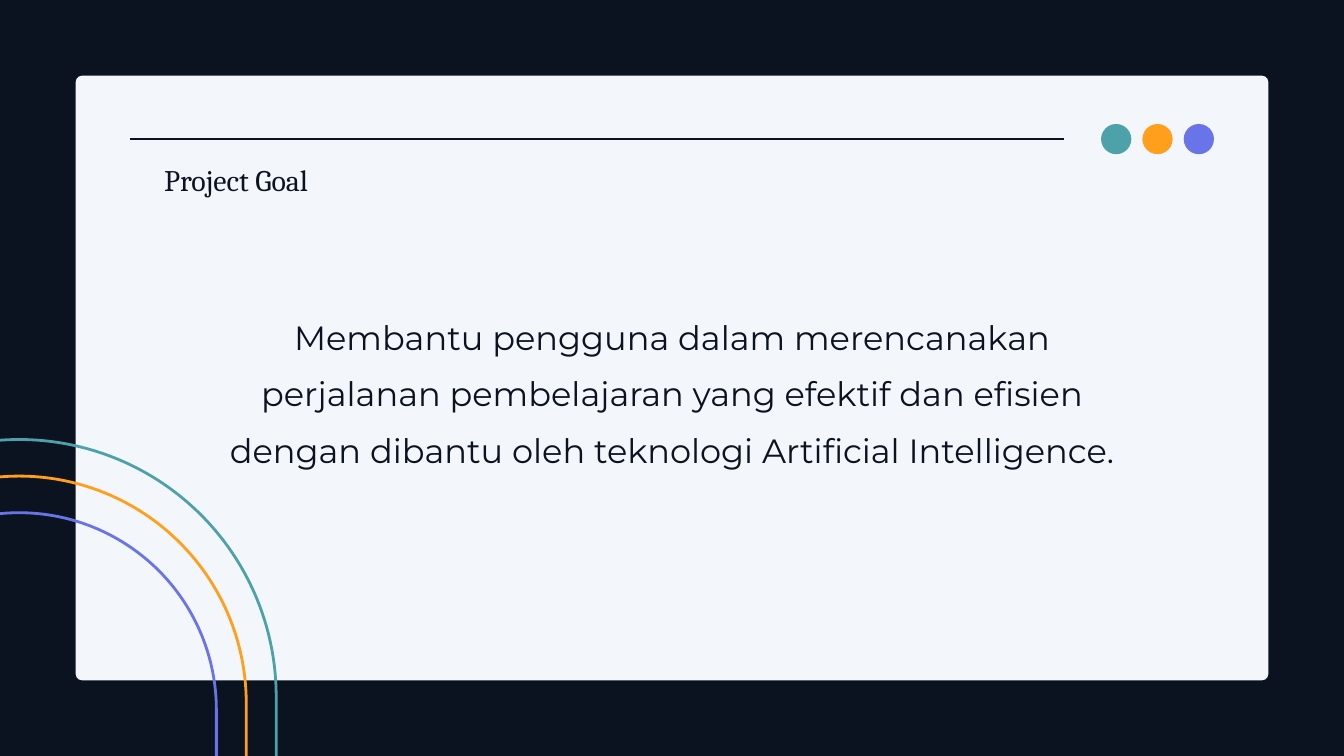
from lxml import etree
from pptx import Presentation
from pptx import util as u
from pptx.dml.color import RGBColor
from pptx.enum import shapes, text
from pptx.oxml.ns import qn

COLORS = {
    "ink": "0B1320",
    "card": "F3F6FA",
    "teal": "4DA1A9",
    "orange": "FF9F1C",
    "violet": "6874E8",
}
ACCENTS = ("teal", "orange", "violet")
KIND = shapes.MSO_SHAPE


def color(name):
    return RGBColor.from_string(COLORS[name])


def add_shape(slide, kind, box, fill=None, line=None):
    shape = slide.shapes.add_shape(kind, *map(u.Inches, box))
    shape.shadow.inherit = False
    if fill:
        shape.fill.solid()
        shape.fill.fore_color.rgb = color(fill)
    else:
        shape.fill.background()
    if line:
        shape.line.color.rgb = color(line)
        shape.line.width = u.Pt(3)
    else:
        shape.line.fill.background()
    return shape


def add_label(slide, box, words, font, size, spacing):
    frame = slide.shapes.add_textbox(*map(u.Inches, box)).text_frame
    frame.word_wrap = True
    frame.margin_left = frame.margin_right = 0
    frame.margin_top = frame.margin_bottom = 0
    frame.text = words
    para = frame.paragraphs[0]
    para.alignment = text.PP_ALIGN.CENTER
    para.line_spacing = spacing
    run = para.runs[0]
    run.font.name = font
    run.font.size = u.Pt(size)
    run.font.color.rgb = color("ink")


def add_header(slide, box):
    """Rule, three dots and the title below the rule."""
    left, top, width, height = box
    dot, step = 0.45, 0.615
    mid = top + dot / 2
    first = left + width - dot - 2 * step
    rule = slide.shapes.add_connector(
        shapes.MSO_CONNECTOR.STRAIGHT,
        *map(u.Inches, (left, mid, first - 0.55, mid)))
    rule.line.color.rgb = color("ink")
    rule.line.width = u.Pt(3)
    etree.SubElement(rule._element.spPr, qn("a:effectLst"))
    for i, accent in enumerate(ACCENTS):
        add_shape(slide, KIND.OVAL, (first + i * step, top, dot, dot), accent)
    add_label(slide, (left, top + dot, 3.16, height - dot),
              "Project Goal", "Cambria", 32, 1.2)


def add_card(slide, box):
    left, top, width, height = box
    card = add_shape(slide, KIND.ROUNDED_RECTANGLE, box, "card")
    card.adjustments[0] = 0.1 / height
    add_header(slide, (left + 0.81, top + 0.72, width - 1.62, 0.99))
    add_label(slide, (left + 1.875, top + 3.35, width - 3.75, 2.3),
              "Membantu pengguna dalam merencanakan perjalanan pembelajaran "
              "yang efektif dan efisien dengan dibantu oleh teknologi "
              "Artificial Intelligence.", "Montserrat", 36, 1.4)


def add_arches(slide, box):
    """Nested round-topped arches, sharing the centre of the box."""
    left, top, width, height = box
    for i, accent in enumerate(ACCENTS):
        dx, dy = i * 0.445, i * 0.545
        arch = add_shape(
            slide, KIND.ROUND_2_SAME_RECTANGLE,
            (left + dx, top + dy, width - 2 * dx, height - 2 * dy),
            line=accent)
        arch.adjustments[0] = 0.5
        arch.adjustments[1] = 0


def main():
    deck = Presentation()
    deck.slide_width = u.Inches(20)
    deck.slide_height = u.Inches(11.25)
    slide = deck.slides.add_slide(deck.slide_layouts[6])
    slide.background.fill.solid()
    slide.background.fill.fore_color.rgb = color("ink")
    add_card(slide, (1.125, 1.125, 17.75, 9))
    add_arches(slide, (-3.54, 6.54, 7.65, 9.42))
    deck.save("out.pptx")


if __name__ == "__main__":
    main()
